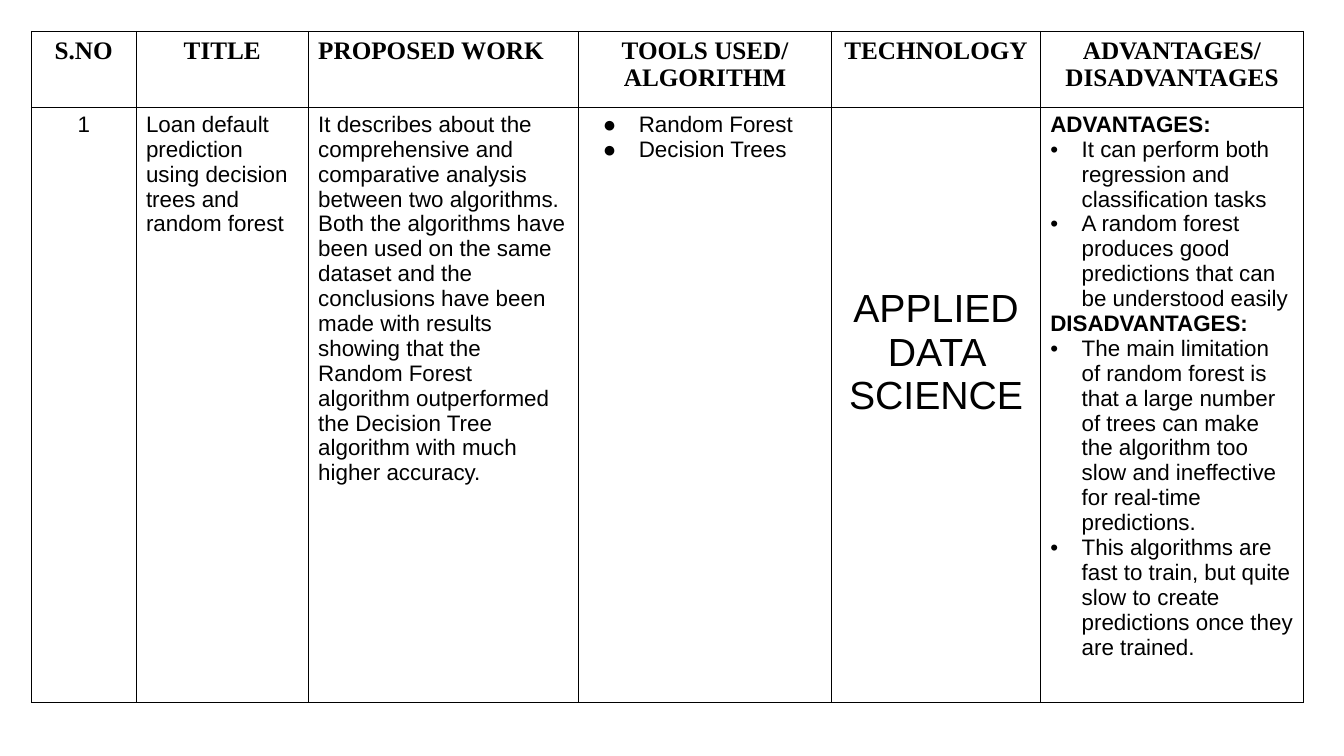
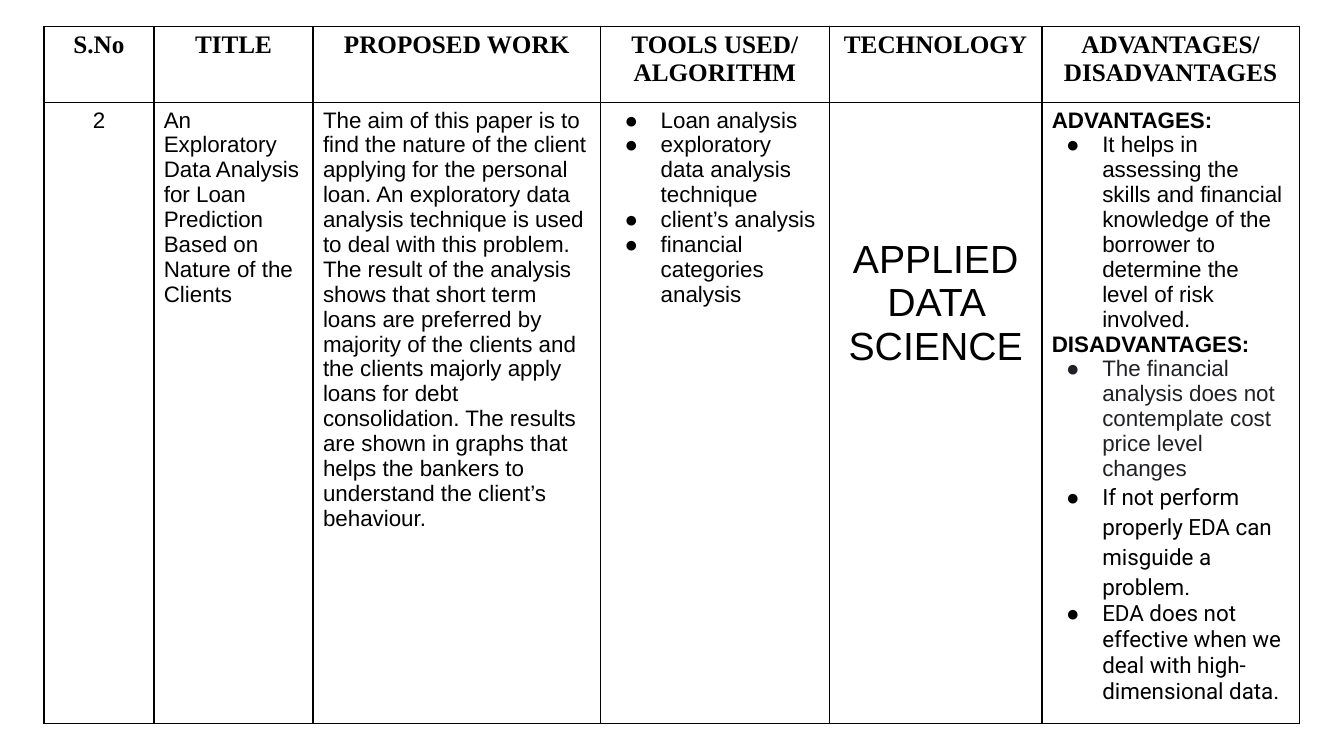
from dataclasses import dataclass

from lxml.etree import SubElement
from pptx import Presentation
from pptx.dml.color import RGBColor
from pptx.enum.text import MSO_ANCHOR, PP_ALIGN as Align
from pptx.oxml.ns import qn
from pptx.util import Cm, Pt


@dataclass(frozen=True)
class Theme:
    ink: str = "000000"
    soft_ink: str = "202124"
    paper: str = "FFFFFF"
    heading_font: str = "Times New Roman"
    body_font: str = "Arial"
    accent_font: str = "Roboto"
    heading_size: int = 18
    body_size: int = 16
    technology_size: int = 28
    border: float = 1
    side_margin: float = 0.25
    top_margin: float = 0.13


THEME = Theme()


@dataclass(frozen=True)
class Line:
    text: str
    font: str = THEME.body_font
    size: int = THEME.body_size
    color: str = THEME.ink
    bold: bool = False
    align: Align = Align.LEFT
    bullet: str = ""
    indent: float = 1.27
    hanging: float = 0.91
    spacing: float = 1.0


def heading(text, align=Align.CENTER):
    return Line(text, THEME.heading_font, THEME.heading_size, bold=True, align=align)


def label(text):
    return Line(text, bold=True)


def disc(text, **style):
    return Line(text, bullet="●", **style)


def dot(text):
    return Line(text, bullet="•", indent=0.79, hanging=0.79)


TECHNOLOGY_COLUMN = 4
TECHNOLOGY = Line("APPLIED DATA SCIENCE", size=THEME.technology_size, align=Align.CENTER)
SHARED_HEADINGS = [
    [heading("TOOLS USED/"), heading("ALGORITHM")],
    [heading("TECHNOLOGY")],
    [heading("ADVANTAGES/ DISADVANTAGES")],
]

SURVEYS = [
    {
        "origin": (0.79, 0.79),
        "widths": (2.64, 4.34, 6.81, 6.38, 5.26, 6.63),
        "heights": (1.91, 15.01),
        "technology_top": 4.53,
        "headings": [
            [heading("S.NO")],
            [heading("TITLE")],
            [heading("PROPOSED WORK", Align.LEFT)],
        ],
        "entry": [
            [Line("1", align=Align.CENTER)],
            [Line("Loan default prediction using decision trees and random forest")],
            [Line(
                "It describes about the comprehensive and comparative analysis between "
                "two algorithms. Both the algorithms have been used on the same dataset "
                "and the conclusions have been made with results showing that the Random "
                "Forest algorithm outperformed the Decision Tree algorithm with much "
                "higher accuracy."
            )],
            [disc("Random Forest"), disc("Decision Trees")],
            [TECHNOLOGY],
            [
                label("ADVANTAGES:"),
                dot("It can perform both regression and classification tasks"),
                dot("A random forest produces good predictions that can be understood easily"),
                label("DISADVANTAGES:"),
                dot(
                    "The main limitation of random forest is that a large number of trees "
                    "can make the algorithm too slow and ineffective for real-time predictions."
                ),
                dot(
                    "This algorithms are fast to train, but quite slow to create "
                    "predictions once they are trained."
                ),
            ],
        ],
    },
    {
        "origin": (1.11, 0.66),
        "widths": (2.77, 4.01, 7.24, 5.77, 5.36, 6.48),
        "heights": (1.93, 15.65),
        "technology_top": 3.4,
        "headings": [
            [heading("S.No")],
            [heading("TITLE")],
            [heading("PROPOSED WORK")],
        ],
        "entry": [
            [Line("2", align=Align.CENTER)],
            [Line(
                "An Exploratory Data Analysis for Loan Prediction Based on Nature of the Clients"
            )],
            [Line(
                "The aim of this paper is to find the nature of the client applying for the "
                "personal loan. An exploratory data analysis technique is used to deal with "
                "this problem. The result of the analysis shows that short term loans are "
                "preferred by majority of the clients and the clients majorly apply loans "
                "for debt consolidation. The results are shown in graphs that helps the "
                "bankers to understand the client’s behaviour."
            )],
            [
                disc("Loan analysis"),
                disc("exploratory data analysis technique"),
                disc("client’s analysis"),
                disc("financial categories analysis"),
            ],
            [TECHNOLOGY],
            [
                label("ADVANTAGES:"),
                disc(
                    "It helps in assessing the skills and financial knowledge of the "
                    "borrower to determine the level of risk involved."
                ),
                label("DISADVANTAGES:"),
                disc(
                    "The financial analysis does not contemplate cost price level changes",
                    color=THEME.soft_ink,
                ),
                disc(
                    "If not perform properly EDA can misguide a problem.",
                    font=THEME.accent_font,
                    spacing=1.15,
                ),
                disc(
                    "EDA does not effective when we deal with high-dimensional data.",
                    font=THEME.accent_font,
                ),
            ],
        ],
    },
]


def add_solid(parent, color):
    fill = SubElement(parent, qn("a:solidFill"))
    SubElement(fill, qn("a:srgbClr"), val=color)


def add_bullet(para, line):
    properties = para._p.get_or_add_pPr()
    properties.set("marL", str(Cm(line.indent)))
    properties.set("indent", str(-Cm(line.hanging)))
    color = SubElement(properties, qn("a:buClr"))
    SubElement(color, qn("a:srgbClr"), val=line.color)
    SubElement(properties, qn("a:buFont"), typeface=THEME.body_font)
    SubElement(properties, qn("a:buChar"), char=line.bullet)


def style_cell(cell, top):
    properties = cell._tc.get_or_add_tcPr()
    for side in ("a:lnL", "a:lnR", "a:lnT", "a:lnB"):
        add_solid(SubElement(properties, qn(side), w=str(Pt(THEME.border))), THEME.ink)
    cell.fill.solid()
    cell.fill.fore_color.rgb = RGBColor.from_string(THEME.paper)
    cell.margin_left = cell.margin_right = Cm(THEME.side_margin)
    cell.margin_top = Cm(top)
    cell.margin_bottom = Cm(THEME.top_margin)
    cell.vertical_anchor = MSO_ANCHOR.TOP


def write_lines(frame, lines):
    for index, line in enumerate(lines):
        para = frame.add_paragraph() if index else frame.paragraphs[0]
        para.text = line.text
        if line.bullet:
            add_bullet(para, line)
        para.alignment = line.align
        para.line_spacing = line.spacing
        font = para.font
        font.name = line.font
        font.size = Pt(line.size)
        font.bold = line.bold
        font.color.rgb = RGBColor.from_string(line.color)


def add_survey(page, survey):
    widths = [Cm(width) for width in survey["widths"]]
    heights = [Cm(height) for height in survey["heights"]]
    left, top = (Cm(value) for value in survey["origin"])
    table = page.shapes.add_table(
        len(heights), len(widths), left, top, sum(widths), sum(heights)
    ).table
    table.first_row = table.horz_banding = False
    for column, width in zip(table.columns, widths):
        column.width = width
    for row, height in zip(table.rows, heights):
        row.height = height
    contents = [survey["headings"] + SHARED_HEADINGS, survey["entry"]]
    for row_index, row in enumerate(contents):
        for column_index, lines in enumerate(row):
            cell = table.cell(row_index, column_index)
            is_technology = row_index == 1 and column_index == TECHNOLOGY_COLUMN
            style_cell(cell, survey["technology_top"] if is_technology else THEME.top_margin)
            write_lines(cell.text_frame, lines)


def main():
    deck = Presentation()
    deck.slide_width, deck.slide_height = Cm(33.87), Cm(19.05)
    for survey in SURVEYS:
        add_survey(deck.slides.add_slide(deck.slide_layouts[6]), survey)
    deck.save("out.pptx")


if __name__ == "__main__":
    main()
